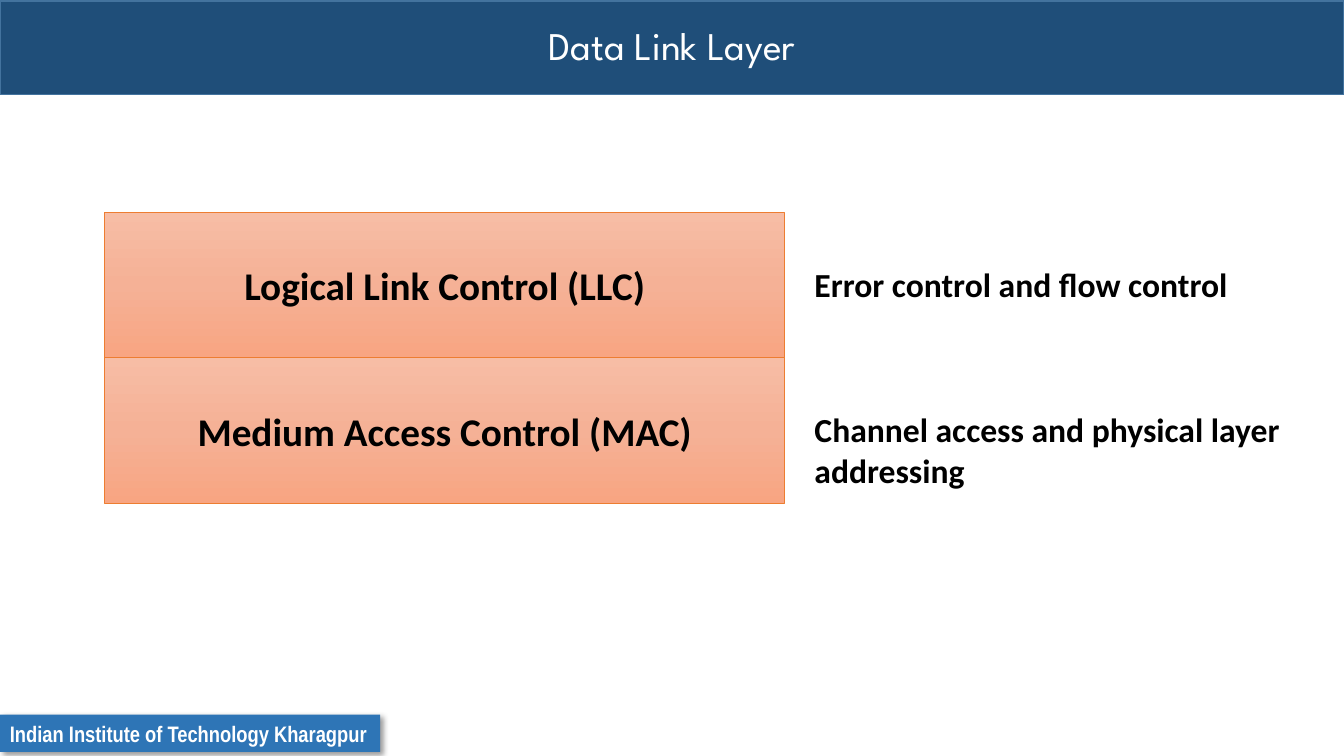
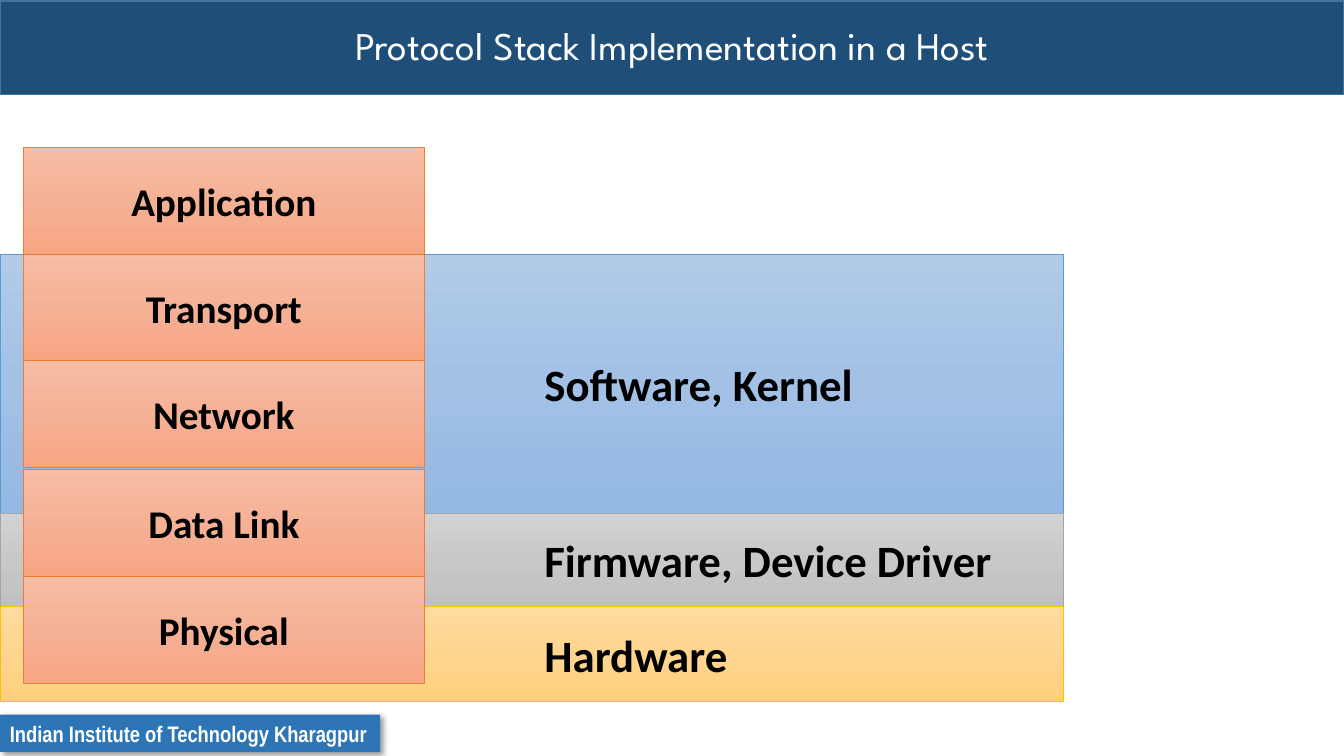
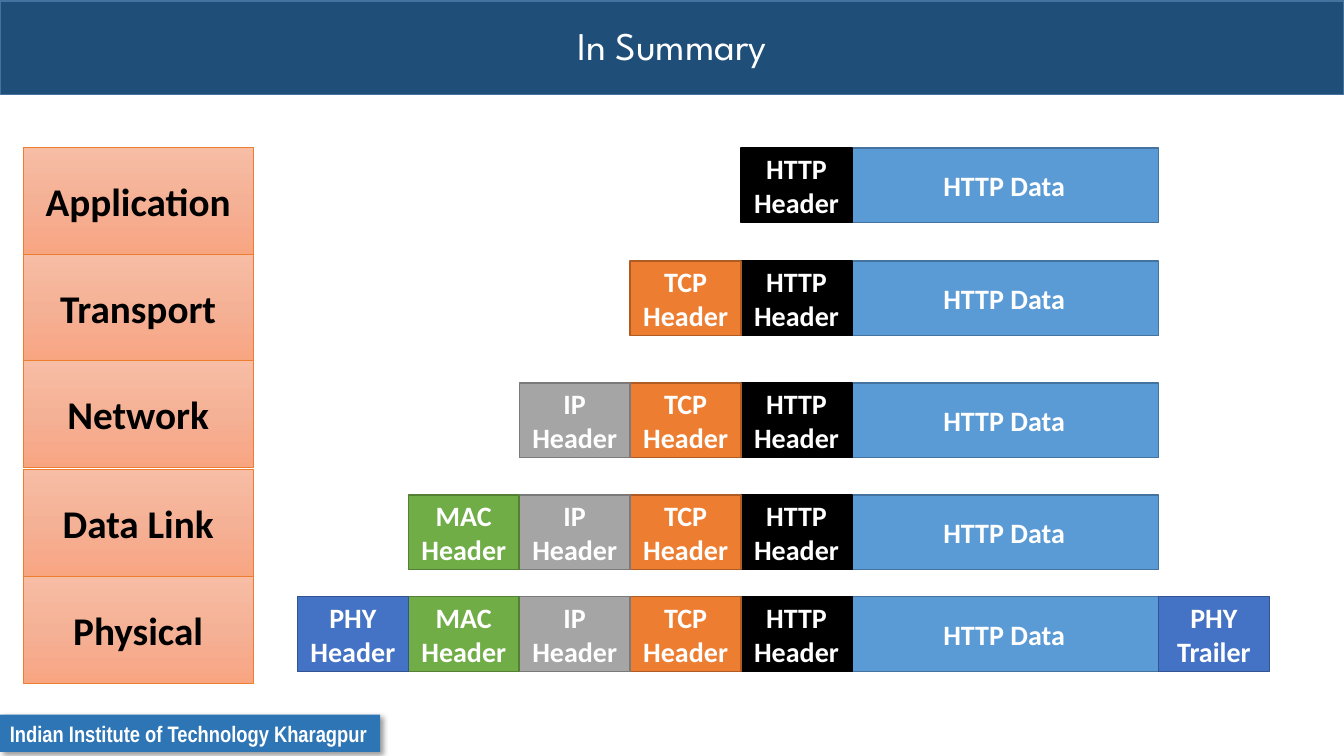
"""Build three slides on the layers of a network protocol stack."""
import copy

import pptx
import pptx.dml.color
import pptx.enum.shapes
import pptx.enum.text
import pptx.oxml
import pptx.oxml.ns
import pptx.util
from pptx.util import Inches

ALIGN = pptx.enum.text.PP_ALIGN
ANCHOR = pptx.enum.text.MSO_ANCHOR
FIT = pptx.enum.text.MSO_AUTO_SIZE
RECTANGLE = pptx.enum.shapes.MSO_SHAPE.RECTANGLE


class Theme:
    """Colours, fonts and type sizes of the deck."""

    size = (13.33, 7.5)
    fills = {
        "band": (("1F4E79",), "43739E", 1),
        "footer": (("2E75B6",), None, 0),
        "layer": (("F7BDA5", "F5B196", "F8A582"), "ED7D31", 0.5),
        "software": (("B1CBE9", "A3C1E5", "93B9E4"), "5B9BD5", 0.5),
        "firmware": (("D2D2D2", "C8C8C8", "C0C0C0"), "A5A5A5", 0.5),
        "hardware": (("FFDB9E", "FFD590", "FFD07C"), "FFC000", 0.5),
        "data": (("5B9BD5",), "43739E", 1),
        "HTTP": (("000000",), "000000", 1),
        "TCP": (("ED7D31",), "AF5C24", 1),
        "IP": (("A5A5A5",), "7A7A7A", 1),
        "MAC": (("70AD47",), "538035", 1),
        "PHY": (("4472C4",), "325491", 1),
    }
    texts = {
        "title": ("League Spartan", 28, False, "FFFFFF"),
        "footer": ("Arial Narrow", 16, True, "FFFFFF"),
        "layer": ("Calibri", 28, True, "000000"),
        "zone": ("Calibri", 32, True, "000000"),
        "note": ("Calibri", 24, True, "000000"),
        "packet": ("Calibri", 20, True, "FFFFFF"),
    }
    shadow = (
        '<a:effectLst xmlns:a="http://schemas.openxmlformats.org/drawingml/2006/main">'
        '<a:outerShdw blurRad="50800" dist="38100" dir="2700000" algn="tl">'
        '<a:srgbClr val="000000"><a:alpha val="40000"/></a:srgbClr>'
        '</a:outerShdw></a:effectLst>'
    )


def colour(code):
    """Turn a hex code into an RGB colour."""
    return pptx.dml.color.RGBColor.from_string(code)


class Builder:
    """Hold the theme, the deck and the current slide."""

    def __init__(self, theme):
        """Start an empty deck."""
        self.theme = theme
        self.deck = pptx.Presentation()
        self.deck.slide_width, self.deck.slide_height = map(Inches, theme.size)
        self.slide = None

    def start(self, title):
        """Add a slide with its title band and footer."""
        self.slide = self.deck.slides.add_slide(self.deck.slide_layouts[6])
        band = self.block((0, 0.01, self.theme.size[0], 0.93), "band", title, "title")
        band.text_frame.paragraphs[0].line_spacing = 0.9
        footer = self.block((0, 7.09, 3.77, 0.37), "footer",
                            "Indian Institute of Technology Kharagpur", "footer",
                            align=ALIGN.LEFT, wrap=False)
        properties = footer.element.spPr
        properties.remove(properties.find(pptx.oxml.ns.qn("a:effectLst")))
        properties.append(pptx.oxml.parse_xml(self.theme.shadow))

    def block(self, place, fill, text, style, align=ALIGN.CENTER, wrap=True, inset=0.1):
        """Add a filled rectangle with text."""
        shape = self.slide.shapes.add_shape(RECTANGLE, *map(Inches, place))
        shape.shadow.inherit = False
        colours, edge, weight = self.theme.fills[fill]
        if len(colours) == 1:
            shape.fill.solid()
            shape.fill.fore_color.rgb = colour(colours[0])
        else:
            self.shade(shape, colours)
        if edge:
            shape.line.color.rgb = colour(edge)
            shape.line.width = pptx.util.Pt(weight)
        else:
            shape.line.fill.background()
        frame = {"vertical_anchor": ANCHOR.MIDDLE, "word_wrap": wrap,
                 "margin_left": Inches(inset)}
        self.put_text(shape, [text], style, align, frame)
        return shape

    def shade(self, shape, colours):
        """Fill a shape with an even gradient from top to bottom."""
        shape.fill.gradient()
        shape.fill.gradient_angle = 270
        stop_list = next(shape.element.spPr.iter(pptx.oxml.ns.qn("a:gsLst")))
        stop_list.insert(1, copy.deepcopy(stop_list[0]))
        for index, (stop, code) in enumerate(zip(shape.fill.gradient_stops, colours)):
            stop.position = index / (len(colours) - 1)
            stop.color.rgb = colour(code)

    def note(self, place, lines):
        """Add a plain text box."""
        box = self.slide.shapes.add_textbox(*map(Inches, place))
        frame = {"word_wrap": False, "auto_size": FIT.SHAPE_TO_FIT_TEXT}
        self.put_text(box, lines, "note", ALIGN.LEFT, frame)

    def put_text(self, box, lines, style, align, frame):
        """Put styled paragraphs into a box."""
        for name, value in frame.items():
            setattr(box.text_frame, name, value)
        font, size, bold, code = self.theme.texts[style]
        look = {"name": font, "size": pptx.util.Pt(size), "bold": bold}
        for index, line in enumerate(lines):
            para = box.text_frame.add_paragraph() if index else box.text_frame.paragraphs[0]
            para.alignment = align
            span = para.add_run()
            span.text = line
            for name, value in look.items():
                setattr(span.font, name, value)
            span.font.color.rgb = colour(code)

    def stack(self, width):
        """Add the column of five protocol layers."""
        names = ("Application", "Transport", "Network", "Data Link", "Physical")
        for index, name in enumerate(names):
            top = 1.46 + 1.06 * index + (0.02 if index > 2 else 0)
            self.block((0.23, top, width, 1.06), "layer", name, "layer")

    def packet(self, top, headers):
        """Add one packet, its headers running leftwards from the data."""
        height, width = 0.74, 1.1
        self.block((8.43, top, 3.06, height), "data", "HTTP Data", "packet")
        for index, name in enumerate(headers):
            self.block((7.35 - width * index, top, width, height),
                       name, f"{name} Header", "packet")
        if "PHY" in headers:
            self.block((11.49, top, width, height), "PHY", "PHY Trailer", "packet")


def main():
    """Build and save the deck."""
    builder = Builder(Theme())

    builder.start("Data Link Layer")
    sublayers = ("Logical Link Control (LLC)", "Medium Access Control (MAC)")
    for index, name in enumerate(sublayers):
        builder.block((1.04, 2.11 + 1.44 * index, 6.74, 1.44), "layer", name, "layer")
    builder.note((7.98, 2.57, 4.34, 0.5), ["Error control and flow control"])
    builder.note((7.98, 4.01, 4.86, 0.91),
                 ["Channel access and physical layer", "addressing"])

    builder.start("Protocol Stack Implementation in a Host")
    zones = (
        ("software", 2.52, 2.57, "Software, Kernel"),
        ("firmware", 5.09, 0.93, "Firmware, Device Driver"),
        ("hardware", 6.02, 0.94, "Hardware"),
    )
    for fill, top, height, text in zones:
        builder.block((0, top, 10.55, height), fill, text, "zone",
                      align=ALIGN.LEFT, inset=5.4)
    builder.stack(3.98)

    builder.start("In Summary")
    builder.stack(2.28)
    headers = ("HTTP", "TCP", "IP", "MAC", "PHY")
    for count, top in enumerate((1.47, 2.59, 3.8, 4.91, 5.92), start=1):
        builder.packet(top, headers[:count])

    builder.deck.save("out.pptx")


if __name__ == "__main__":
    main()
